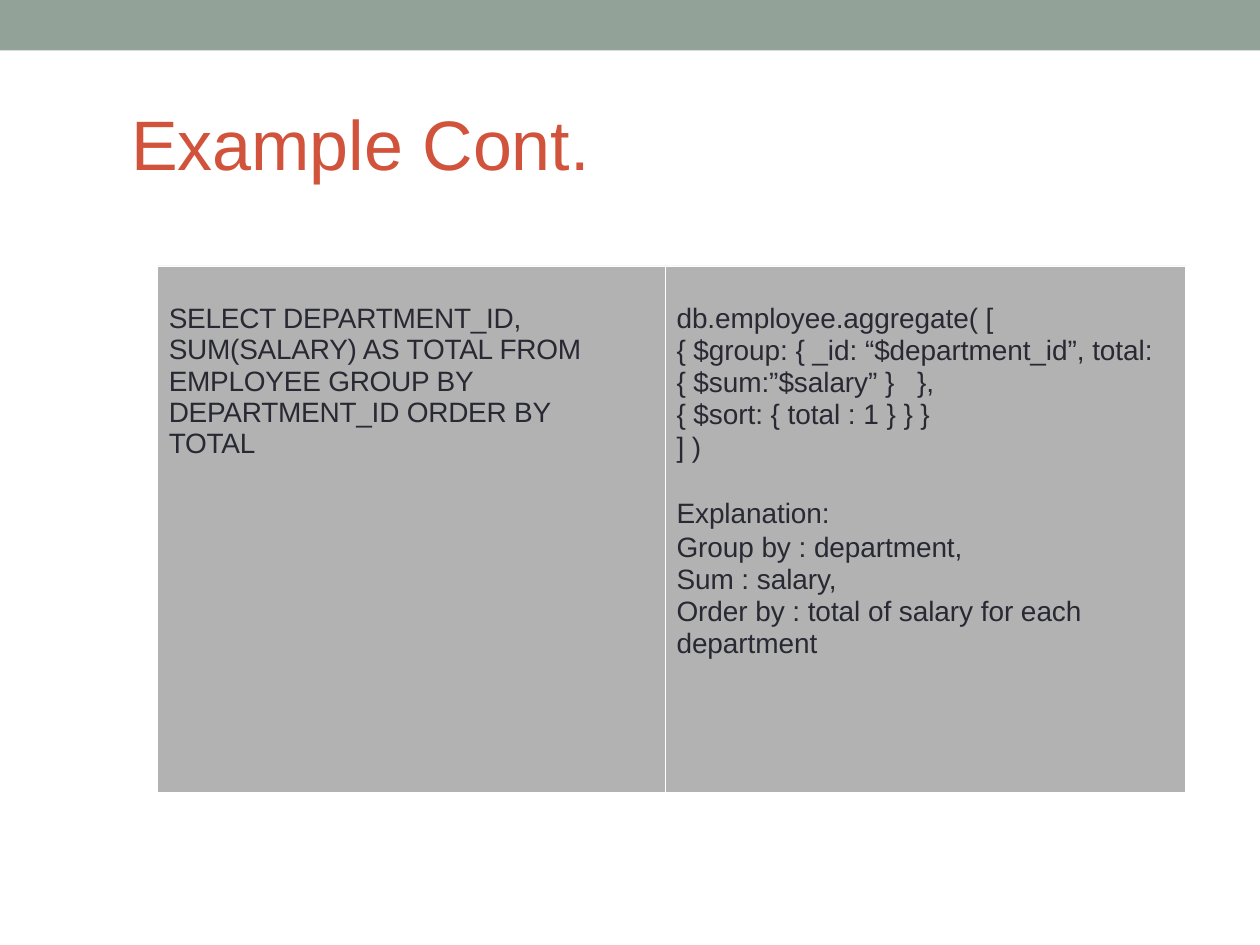
"""Build a slide that sets an SQL query beside its aggregation pipeline."""
import pptx
import pptx.dml.color
import pptx.enum.shapes
import pptx.enum.text
import pptx.oxml.ns
import pptx.util
import lxml.etree

COLORS = {"band": "93A299", "title": "D2533C", "panel": "B2B2B2",
          "ink": "292934", "edge": "FFFFFF"}

QUERY = ("SELECT DEPARTMENT_ID, SUM(SALARY) AS TOTAL FROM EMPLOYEE "
         "GROUP BY DEPARTMENT_ID ORDER BY TOTAL")

PIPELINE = [
    ("db.employee.aggregate( [", {"leading": 19}),
    ("{ $group: { _id: “$department_id”, total:", {}),
    ("{ $sum:”$salary” }\t},", {"tab": 1.91}),
    ("{ $sort: { total : 1 } } }", {}),
    ("] )", {"leading": 18.9}),
    ("Explanation:", {"leading": 19, "before": 18.7}),
    ("Group by : department,\vSum : salary,", {"leading": 18.2, "before": 1.1}),
    ("Order by : total of salary for each department", {}),
]


def color(name):
    return pptx.dml.color.RGBColor.from_string(COLORS[name])


def write(para, text, size=16, ink="ink", tracking=-0.03, leading=None, before=0, tab=None):
    para.text = text
    para.alignment = pptx.enum.text.PP_ALIGN.LEFT
    if tab:
        tabs = lxml.etree.SubElement(para._p.get_or_add_pPr(), pptx.oxml.ns.qn("a:tabLst"))
        lxml.etree.SubElement(tabs, pptx.oxml.ns.qn("a:tab"),
                              pos=str(pptx.util.Inches(tab)), algn="l")
    if leading:
        para.line_spacing = pptx.util.Pt(leading) if leading > 3 else leading
    para.space_before = pptx.util.Pt(before)
    for span in para.runs:
        span.font.name = "Arial"
        span.font.size = pptx.util.Pt(size)
        span.font.color.rgb = color(ink)
        span.font._element.set("spc", str(round(tracking * 100)))


class Page:
    """Hold the slide and place elements on a grid of 100 columns by 75 rows."""

    def __init__(self, deck):
        self.slide = deck.slides.add_slide(deck.slide_layouts[5])
        self.column = deck.slide_width / 100
        self.row = deck.slide_height / 75

    def area(self, left, top, width, height):
        return (round(left * self.column), round(top * self.row),
                round(width * self.column), round(height * self.row))

    def panel(self, place, fill):
        kind = pptx.enum.shapes.MSO_SHAPE.RECTANGLE
        shape = self.slide.shapes.add_shape(kind, *self.area(*place))
        shape.shadow.inherit = False
        shape.fill.solid()
        shape.fill.fore_color.rgb = color(fill)
        shape.line.fill.background()

    def line(self, *ends):
        kind = pptx.enum.shapes.MSO_CONNECTOR.STRAIGHT
        edge = self.slide.shapes.add_connector(kind, *self.area(*ends))
        edge.line.color.rgb = color("edge")
        edge.line.width = pptx.util.Pt(0.25)
        lxml.etree.SubElement(edge._element.spPr, pptx.oxml.ns.qn("a:effectLst"))

    def frame(self, box, left=0.01, top=0.01):
        frame = box.text_frame
        frame.word_wrap = True
        frame.margin_left = pptx.util.Inches(left)
        frame.margin_top = pptx.util.Inches(top)
        frame.margin_right = frame.margin_bottom = 0
        return frame

    def title(self, place, text):
        box = self.slide.shapes.title
        box.left, box.top, box.width, box.height = self.area(*place)
        frame = self.frame(box, left=0.54)
        frame.vertical_anchor = pptx.enum.text.MSO_ANCHOR.MIDDLE
        write(frame.paragraphs[0], text, size=40, ink="title", tracking=0)

    def text(self, place, lines, top=0.01):
        box = self.slide.shapes.add_textbox(*self.area(*place))
        frame = self.frame(box, top=top)
        for index, (line, style) in enumerate(lines):
            para = frame.add_paragraph() if index else frame.paragraphs[0]
            write(para, line, **{"leading": 18.3, **style})


def main():
    deck = pptx.Presentation()
    deck.slide_width = pptx.util.Inches(10)
    deck.slide_height = pptx.util.Inches(7.5)
    page = Page(deck)
    page.panel((0, 0, 100, 4), "band")
    page.title((5, 7.8, 90, 6.9), "Example Cont.")

    top, bottom = 21.1, 62.9
    edges = (12.5, 52.8, 94.1)
    sides = list(zip(edges, edges[1:]))
    for left, right in sides:
        page.panel((left, top, right - left, bottom - top), "panel")
    page.text((13.3, 23.8, 34.1, 13.1),
              [(QUERY, {"leading": 0.93, "tracking": -0.12})], top=0.03)
    page.text((53.6, 23.8, 39, 28.4), PIPELINE)
    for edge in edges:
        page.line(edge, top, edge, bottom)
    for left, right in sides:
        for level in (top, bottom):
            page.line(left, level, right, level)
    deck.save("out.pptx")


if __name__ == "__main__":
    main()
